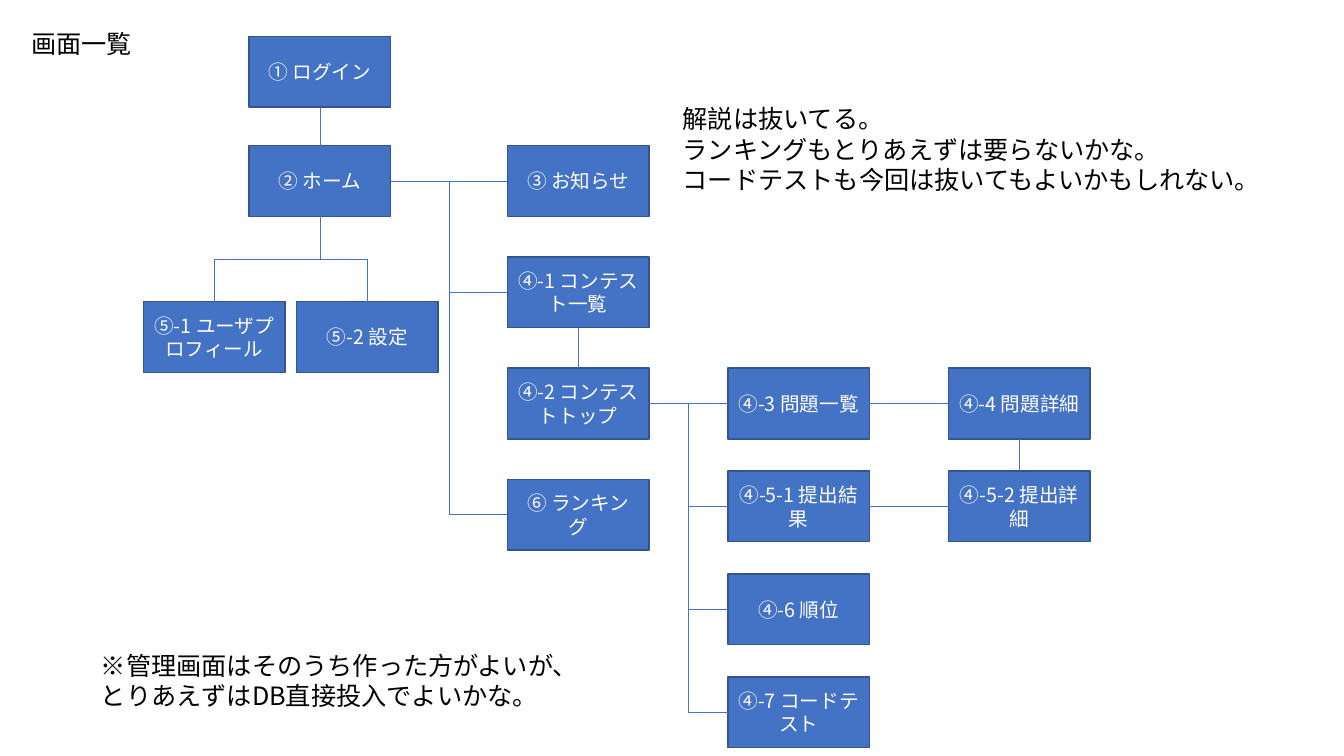
from lxml.etree import SubElement
from pptx import Presentation
from pptx.dml.color import RGBColor
from pptx.enum.shapes import MSO_CONNECTOR, MSO_SHAPE
from pptx.enum.text import MSO_ANCHOR, MSO_AUTO_SIZE, PP_ALIGN
from pptx.oxml.ns import qn
from pptx.util import Pt

COLORS = {"box": "4472C4", "border": "325491", "label": "FFFFFF", "text": "000000"}
FONT = "Noto Sans CJK JP"
BOX_W, BOX_H = 101, 50.5
TOP, LEFT, BOTTOM, RIGHT = range(4)  # connection sites of a rectangle


def color(name):
    return RGBColor.from_string(COLORS[name])


def write(shape, *lines, size=18, ink="text", align=PP_ALIGN.LEFT,
          anchor=MSO_ANCHOR.TOP, wrap=True):
    frame = shape.text_frame
    frame.auto_size = MSO_AUTO_SIZE.NONE
    frame.word_wrap = wrap
    frame.vertical_anchor = anchor
    for i, line in enumerate(lines):
        paragraph = frame.add_paragraph() if i else frame.paragraphs[0]
        paragraph.alignment = align
        run = paragraph.add_run()
        run.text = line
        run.font.size = Pt(size)
        run.font.name = FONT
        run.font.color.rgb = color(ink)
        SubElement(run.font._element, qn("a:ea")).set("typeface", FONT)


deck = Presentation()
deck.slide_width, deck.slide_height = Pt(960), Pt(540)
slide = deck.slides.add_slide(deck.slide_layouts[5])

# Title
title = slide.shapes.title
title.left, title.top, title.width, title.height = Pt(15), Pt(16.5), Pt(87), Pt(29)
write(title, "画面一覧", wrap=False)

# Screens: number, name, left, top
home_x, contest_x, detail_step = 178, 362.5, 157.5
list_x, problem_x = contest_x + detail_step, contest_x + 2 * detail_step
menu_y = [104 + 79.5 * i for i in range(4)]
detail_y = [menu_y[2] + 73.5 * i for i in range(4)]
account_y = 215.5
screens = [
    ("①", "ログイン", home_x, 26),
    ("②", "ホーム", home_x, menu_y[0]),
    ("③", "お知らせ", contest_x, menu_y[0]),
    ("④-1", "コンテスト一覧", contest_x, menu_y[1]),
    ("④-2", "コンテストトップ", contest_x, menu_y[2]),
    ("④-3", "問題一覧", list_x, detail_y[0]),
    ("④-4", "問題詳細", problem_x, detail_y[0]),
    ("④-5-1", "提出結果", list_x, detail_y[1]),
    ("④-5-2", "提出詳細", problem_x, detail_y[1]),
    ("④-6", "順位", list_x, detail_y[2]),
    ("④-7", "コードテスト", list_x, detail_y[3]),
    ("⑤-1", "ユーザプロフィール", 102.5, account_y),
    ("⑤-2", "設定", 212, account_y),
    ("⑥", "ランキング", contest_x, menu_y[3]),
]
boxes = {}
for number, name, left, top in screens:
    box = slide.shapes.add_shape(MSO_SHAPE.RECTANGLE, Pt(left), Pt(top), Pt(BOX_W), Pt(BOX_H))
    box.shadow.inherit = False
    box.fill.solid()
    box.fill.fore_color.rgb = color("box")
    box.line.color.rgb = color("border")
    box.line.width = Pt(1)
    write(box, f"{number} {name}", size=14, ink="label",
          align=PP_ALIGN.CENTER, anchor=MSO_ANCHOR.MIDDLE)
    boxes[number] = box

# Transitions: from one screen to others, sideways or downwards
transitions = [
    ("①", ["②"], BOTTOM, TOP),
    ("②", ["③", "④-1", "⑥"], RIGHT, LEFT),
    ("②", ["⑤-1", "⑤-2"], BOTTOM, TOP),
    ("④-1", ["④-2"], BOTTOM, TOP),
    ("④-2", ["④-3", "④-5-1", "④-6", "④-7"], RIGHT, LEFT),
    ("④-3", ["④-4"], RIGHT, LEFT),
    ("④-4", ["④-5-2"], BOTTOM, TOP),
    ("④-5-1", ["④-5-2"], RIGHT, LEFT),
]
for source, targets, exit_site, entry_site in transitions:
    for target in targets:
        link = slide.shapes.add_connector(MSO_CONNECTOR.ELBOW, 0, 0, 0, 0)
        link.begin_connect(boxes[source], exit_site)
        link.end_connect(boxes[target], entry_site)
        link.line.color.rgb = color("box")
        link.line.width = Pt(0.5)
        SubElement(link._element.spPr, qn("a:effectLst"))
        if exit_site == BOTTOM:
            # Turn the elbow a quarter so that it leaves downwards
            dx, dy = link.end_x - link.begin_x, link.end_y - link.begin_y
            mid_x, mid_y = link.begin_x + dx // 2, link.begin_y + dy // 2
            link.left, link.top = mid_x - dy // 2, mid_y - abs(dx) // 2
            link.width, link.height = dy, abs(dx)
            xfrm = link._element.spPr.find(qn("a:xfrm"))
            xfrm.attrib.pop("flipH", None)
            xfrm.set("rot", "5400000")
            xfrm.set("flipV", "1" if dx > 0 else "0")

# Remarks
scope = slide.shapes.add_textbox(Pt(480.5), Pt(70.5), Pt(433), Pt(73))
write(scope, "解説は抜いてる。", "ランキングもとりあえずは要らないかな。",
      "コードテストも今回は抜いてもよいかもしれない。", wrap=False)
admin = slide.shapes.add_textbox(Pt(65), Pt(461), Pt(348.5), Pt(51))
write(admin, "※管理画面はそのうち作った方がよいが、とりあえずはDB直接投入でよいかな。")

deck.save("out.pptx")
